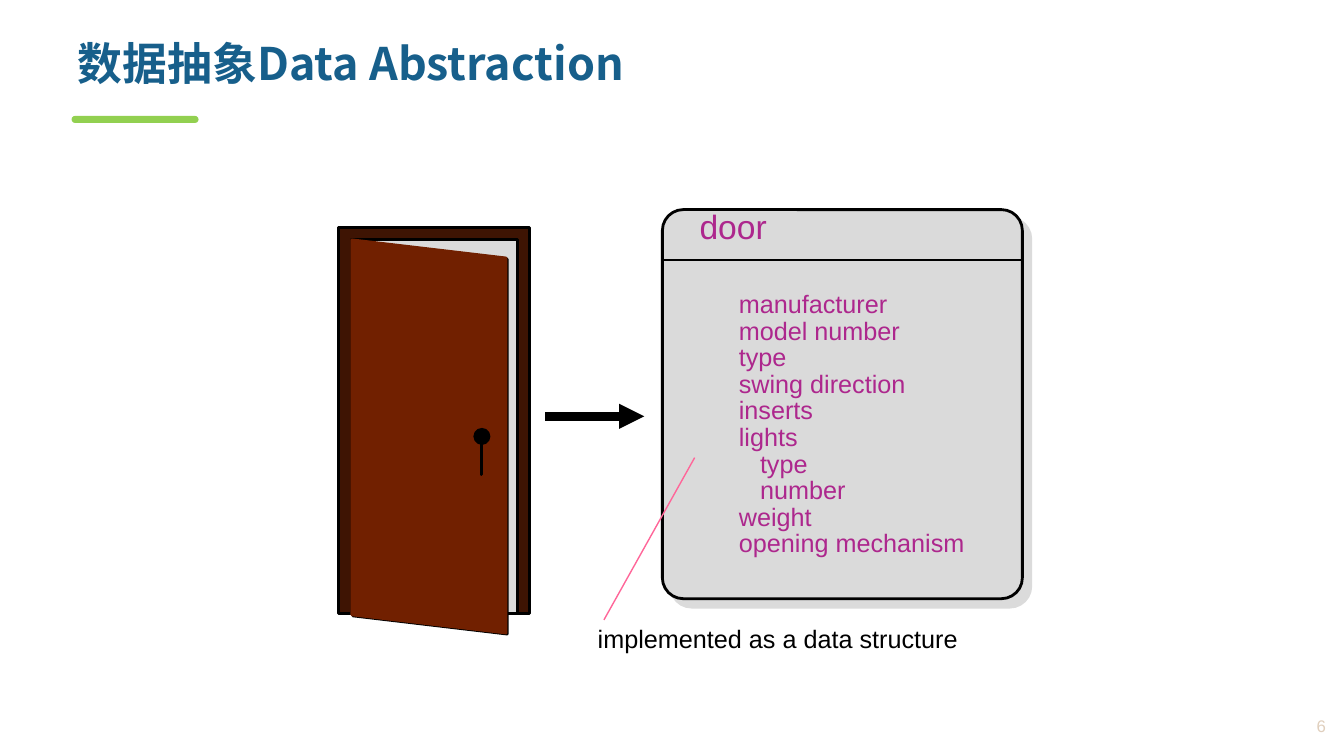
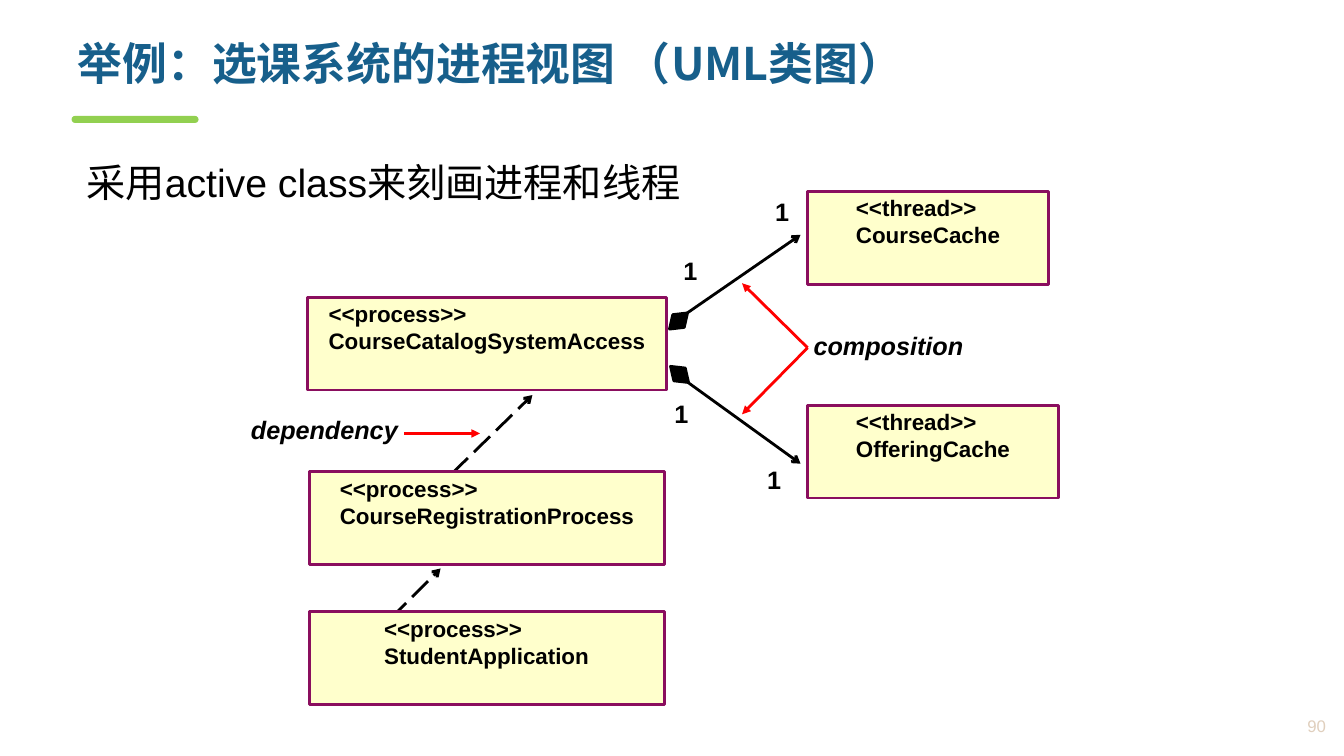
from lxml import etree
from pptx import Presentation
from pptx.dml.color import RGBColor
from pptx.enum.dml import MSO_LINE
from pptx.enum.shapes import MSO_CONNECTOR, MSO_SHAPE as Preset
from pptx.enum.text import MSO_ANCHOR as Anchor, PP_ALIGN as Align
from pptx.oxml.ns import qn
from pptx.util import Inches, Pt

# Shared look
BLACK, RED, PURPLE, PINK = "000000", "FF0000", "AD278D", "FF6699"
TITLE_BLUE, ACCENT_GREEN, NUMBER_TAN = "175F8B", "92D050", "E0CFBD"
CARD_GREY, CARD_SHADOW = "DADADA", "DBDBDB"
FRAME_BROWN, DOOR_BROWN = "3E1403", "712000"
CLASS_YELLOW, CLASS_BORDER = "FFFFCC", "8A0E5E"
TITLE_FONT, BODY_FONT = "Noto Sans CJK SC", "Arial"

# Slide 1: (attribute, level) rows of the data structure
ATTRIBUTES = [
    ("manufacturer", 0), ("model number", 0), ("type", 0),
    ("swing direction", 0), ("inserts", 0), ("lights", 0),
    ("type", 1), ("number", 1), ("weight", 0), ("opening mechanism", 0),
]
ROW_PITCH = 18.95  # points

# Slide 2: (stereotype, class name, left, top, width, text inset)
CLASSES = [
    ("<<process>>", "CourseCatalogSystemAccess", 3.05, 2.95, 3.56, 0.21),
    ("<<thread>>", "CourseCache", 8.01, 1.9, 2.39, 0.48),
    ("<<process>>", "CourseRegistrationProcess", 3.07, 4.68, 3.52, 0.3),
    ("<<thread>>", "OfferingCache", 8.01, 4.02, 2.49, 0.48),
    ("<<process>>", "StudentApplication", 3.07, 6.07, 3.52, 0.74),
]
CLASS_HEIGHT = 0.92
DEPENDENCIES = [((4.48, 4.7), (5.28, 3.92)), ((3.87, 6.14), (4.37, 5.64))]
COMPOSITIONS = [((6.79, 3.77), (7.94, 4.6)), ((6.78, 3.13), (7.94, 2.33))]
DIAMONDS = [(6.62, 3.63, 41.8), (6.61, 3.1, 318.2)]  # left, top, rotation
POINTERS = [
    ((8.01, 3.45), (7.36, 4.11)),
    ((8.01, 3.45), (7.36, 2.81)),
    ((4.01, 4.3), (4.76, 4.3)),
]
NOTES = [("composition", 7.97, 3.23), ("dependency", 2.39, 4.06)]
MULTIPLICITIES = [(7.59, 1.9), (6.68, 2.48), (6.59, 3.9), (7.51, 4.56)]


def rgb(value):
    return RGBColor.from_string(value)


def inches(*values):
    return [Inches(value) for value in values]


def set_font(para, size, color, name=BODY_FONT, bold=False, italic=False):
    font = para.font
    font.size, font.name, font.bold, font.italic = Pt(size), name, bold, italic
    font.color.rgb = rgb(color)


def paint(shape, fill, line=None, weight=2):
    shape.shadow.inherit = False
    shape.fill.solid()
    shape.fill.fore_color.rgb = rgb(fill)
    if line:
        shape.line.color.rgb = rgb(line)
        shape.line.width = Pt(weight)
    else:
        shape.line.fill.background()
    return shape


def add_box(page, preset, at, fill, line=None):
    return paint(page.shapes.add_shape(preset, *inches(*at)), fill, line)


def add_outline(page, points, fill, line):
    corners = [tuple(inches(*point)) for point in points]
    builder = page.shapes.build_freeform(*corners[0])
    builder.add_line_segments(corners[1:], close=True)
    return paint(builder.convert_to_shape(), fill, line)


def add_line(page, start, end, color, weight=2, arrow=None, dash=None):
    line = page.shapes.add_connector(
        MSO_CONNECTOR.STRAIGHT, *inches(*start, *end))
    line.line.color.rgb = rgb(color)
    line.line.width = Pt(weight)
    if dash:
        line.line.dash_style = dash
    if arrow:
        outline = line.line._get_or_add_ln()
        etree.SubElement(outline, qn("a:tailEnd"), type=arrow)
    etree.SubElement(line._element.spPr, qn("a:effectLst"))


def add_text(page, text, at, size, color, wrap=False, **style):
    box = page.shapes.add_textbox(*inches(*at))
    box.text_frame.word_wrap = wrap
    box.text_frame.text = text
    for para in box.text_frame.paragraphs:
        set_font(para, size, color, **style)
    return box


def add_page(deck, heading, number):
    """Title-only slide with accent bar, title and slide number."""
    page = deck.slides.add_slide(deck.slide_layouts[5])
    title = page.shapes.title
    title.left, title.top, title.width, title.height = inches(
        0.67, 0.41, 12.27, 0.75)
    frame = title.text_frame
    frame.text = heading
    frame.vertical_anchor = Anchor.TOP
    frame.margin_top = 0
    para = frame.paragraphs[0]
    para.alignment, para.line_spacing = Align.LEFT, 0.9
    set_font(para, 32, TITLE_BLUE, TITLE_FONT, bold=True)
    for span in para.runs:
        etree.SubElement(span._r.get_or_add_rPr(), qn("a:ea"),
                         typeface=TITLE_FONT)

    bar = add_box(page, Preset.ROUNDED_RECTANGLE, (0.71, 1.15, 1.26, 0.07),
                  ACCENT_GREEN)
    bar.adjustments[0] = 0.5

    footer = add_text(page, str(number), (12.12, 7.01, 1.13, 0.38), 12,
                      NUMBER_TAN, wrap=True)
    footer.text_frame.vertical_anchor = Anchor.MIDDLE
    footer.text_frame.paragraphs[0].alignment = Align.RIGHT
    return page


def add_card(page):
    """Data structure card: header, divider and attribute rows."""
    left, top, width, height = 6.57, 2.08, 3.57, 3.86
    card = add_box(page, Preset.ROUNDED_RECTANGLE, (left, top, width, height),
                   CARD_GREY, BLACK)
    card.adjustments[0] = 0.058
    effects = card._element.spPr.find(qn("a:effectLst"))
    shadow = etree.SubElement(
        effects, qn("a:outerShdw"), blurRad="0", dist=str(Pt(8.5)),
        dir=str(45 * 60000), algn="ctr", rotWithShape="0")
    etree.SubElement(shadow, qn("a:srgbClr"), val=CARD_SHADOW)

    divider = top + 0.5
    add_line(page, (left, divider), (left + width, divider), BLACK)
    add_text(page, "door", (6.84, 1.99, 0.87, 0.5), 24, PURPLE)

    names = "\n".join(name for name, level in ATTRIBUTES)
    rows = add_text(page, names, (7.23, 2.85, 2.46, 2.75), 18, PURPLE)
    for para, (name, level) in zip(rows.text_frame.paragraphs, ATTRIBUTES):
        para.line_spacing = Pt(ROW_PITCH)
        if level:
            para._p.get_or_add_pPr().set("marL", str(Inches(0.21 * level)))


def add_door(page):
    """Frame, opening, open leaf with its black edge, and handle."""
    add_box(page, Preset.RECTANGLE, (3.36, 2.26, 1.89, 3.83),
            FRAME_BROWN, BLACK)
    add_box(page, Preset.RECTANGLE, (3.49, 2.38, 1.64, 3.71),
            CARD_SHADOW, BLACK)
    leaf = [(3.49, 2.38), (5.02, 2.56), (5.02, 6.28), (3.49, 6.1)]
    for offset, color in [(0.01, BLACK), (0, DOOR_BROWN)]:
        corners = [(x + offset, y + offset) for x, y in leaf]
        add_outline(page, corners, color, color)
    add_box(page, Preset.OVAL, (4.71, 4.26, 0.14, 0.14), BLACK, BLACK)
    add_box(page, Preset.RECTANGLE, (4.77, 4.38, 0.01, 0.33), BLACK, BLACK)


def add_class(page, stereotype, name, left, top, width, inset):
    box = add_box(page, Preset.RECTANGLE, (left, top, width, CLASS_HEIGHT),
                  CLASS_YELLOW, CLASS_BORDER)
    frame = box.text_frame
    frame.text = f"{stereotype}\n{name}"
    frame.word_wrap = True
    frame.vertical_anchor = Anchor.TOP
    frame.margin_left, frame.margin_top, frame.margin_right = inches(
        inset, 0.03, 0)
    for para in frame.paragraphs:
        para.alignment = Align.LEFT
        set_font(para, 16, BLACK, bold=True)


def build_abstraction(deck):
    page = add_page(deck, "数据抽象Data Abstraction", 6)
    add_card(page)
    add_line(page, (6.89, 4.54), (5.99, 6.15), PINK, weight=1)
    add_text(page, "implemented as a data structure",
             (5.83, 6.13, 3.8, 0.4), 18, BLACK)
    add_door(page)
    add_line(page, (5.41, 4.13), (6.39, 4.13), BLACK, 6, "triangle")


def build_process_view(deck):
    page = add_page(deck, "举例：选课系统的进程视图 （UML类图）", 90)
    add_text(page, "采用active class来刻画进程和线程",
             (0.76, 1.52, 6.16, 0.57), 28, BLACK, wrap=True)
    # Relations
    for start, end in DEPENDENCIES:
        add_line(page, start, end, BLACK, arrow="arrow",
                 dash=MSO_LINE.LONG_DASH)
    for start, end in COMPOSITIONS:
        add_line(page, start, end, BLACK, arrow="arrow")
    # Classes
    for entry in CLASSES:
        add_class(page, *entry)
    for left, top, rotation in DIAMONDS:
        diamond = add_box(page, Preset.DIAMOND, (left, top, 0.24, 0.17),
                          BLACK, BLACK)
        diamond.rotation = rotation
    # Labels
    for start, end in POINTERS:
        add_line(page, start, end, RED, arrow="triangle")
    for text, left, top in NOTES:
        add_text(page, text, (left, top, 1.75, 0.4), 18, BLACK, wrap=True,
                 bold=True, italic=True)
    for left, top in MULTIPLICITIES:
        add_text(page, "1", (left, top, 0.33, 0.4), 18, BLACK, wrap=True,
                 bold=True)


def main():
    deck = Presentation()
    deck.slide_width, deck.slide_height = inches(13.33, 7.5)
    build_abstraction(deck)
    build_process_view(deck)
    deck.save("out.pptx")


if __name__ == "__main__":
    main()
